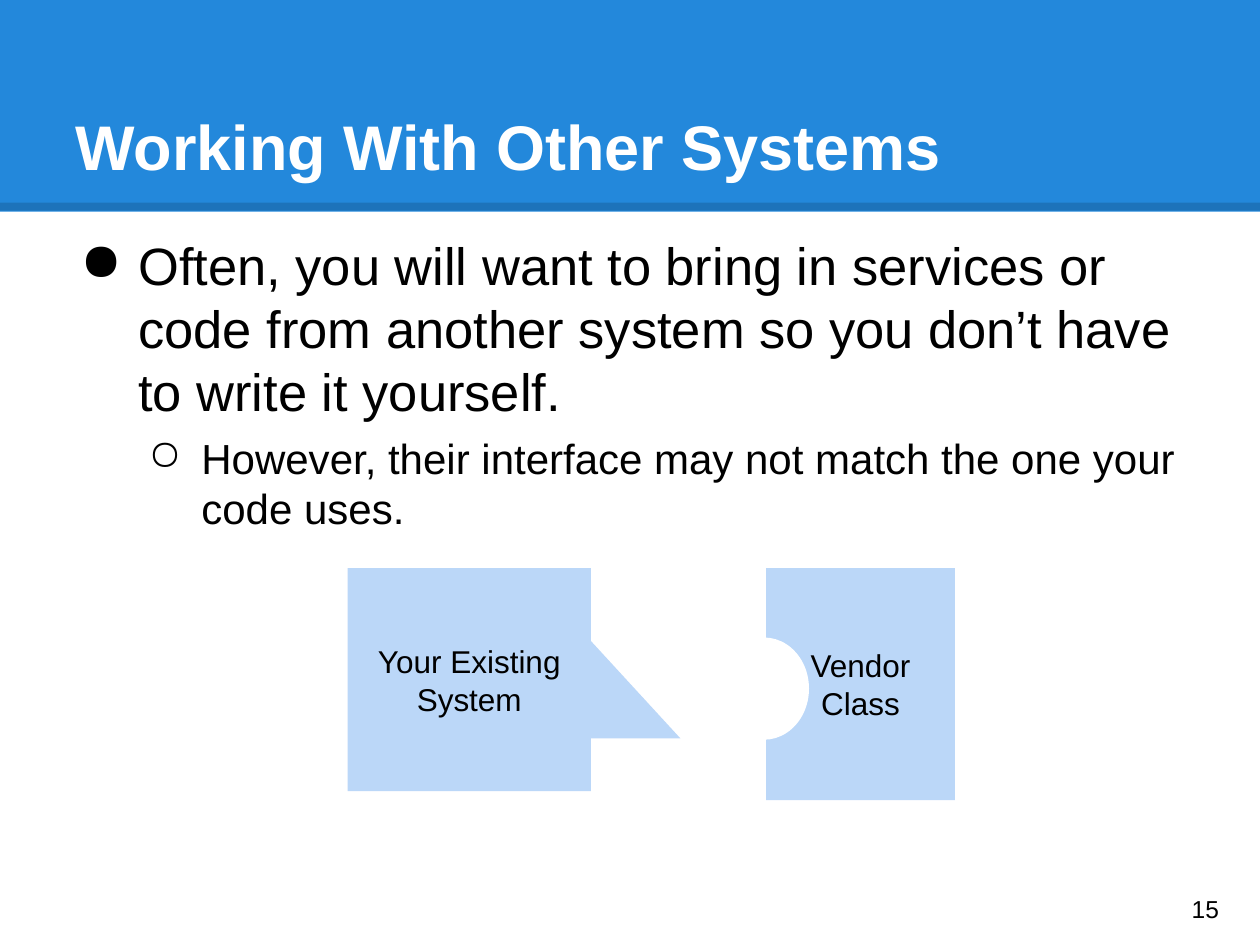
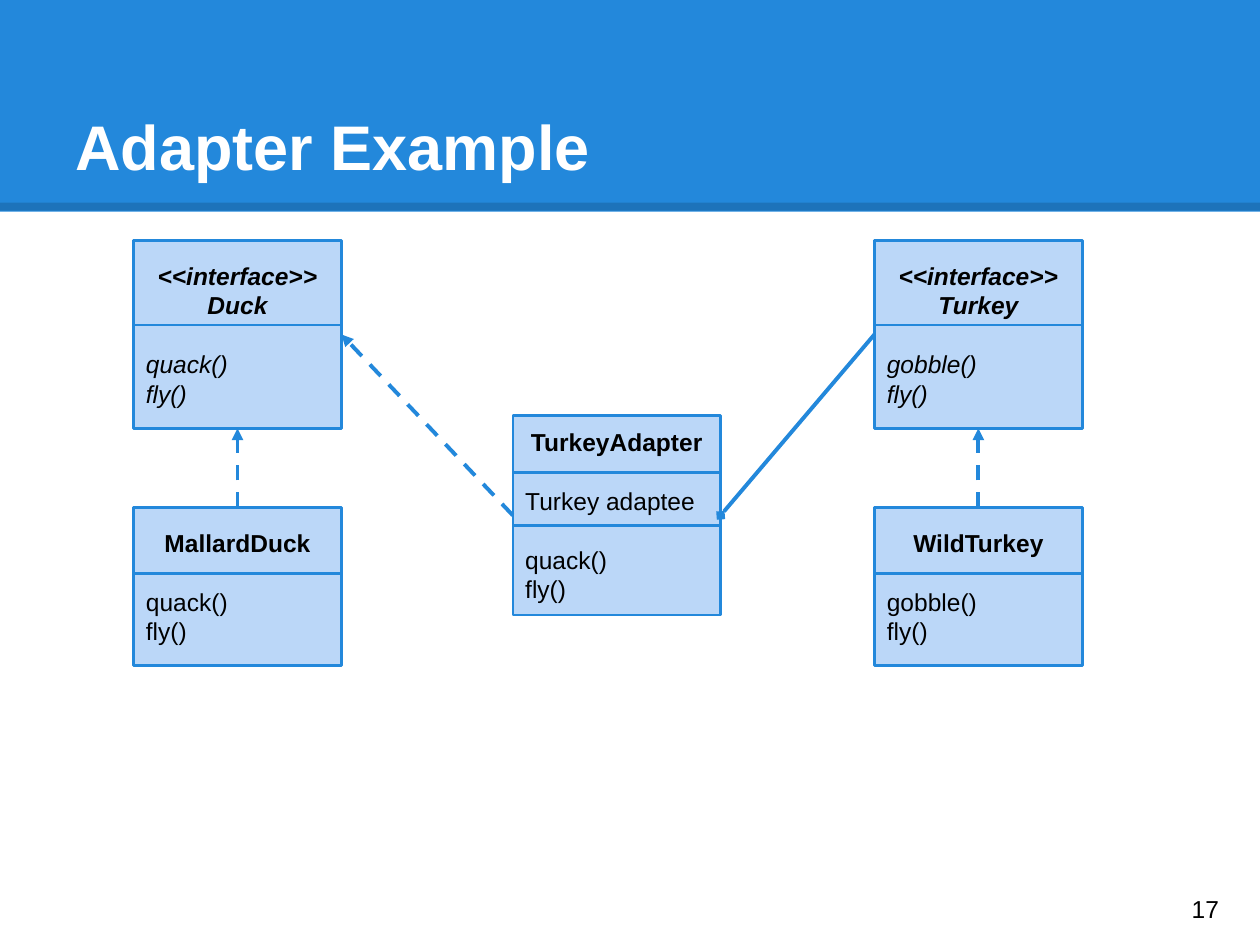
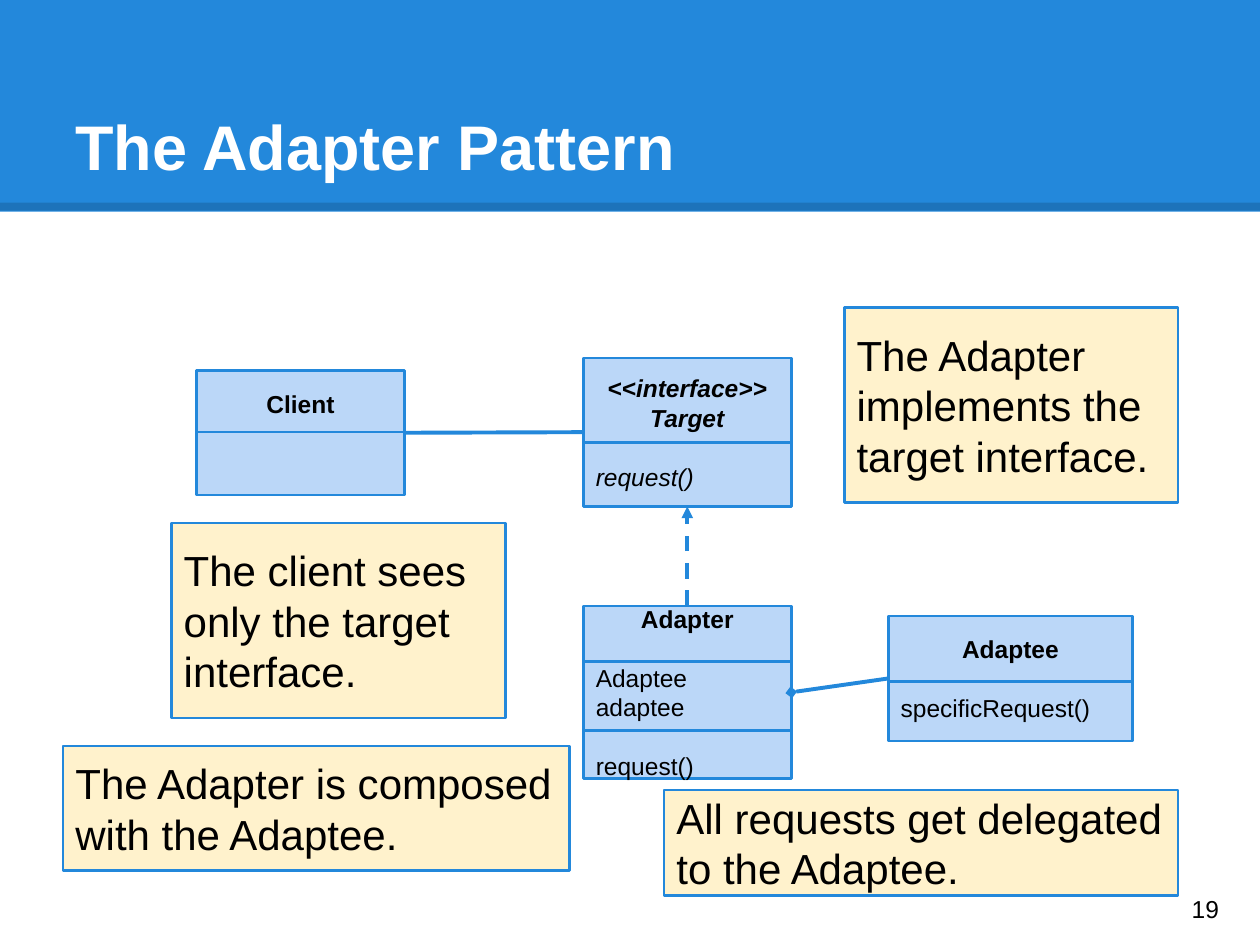
from dataclasses import dataclass

from lxml.etree import SubElement
from pptx import Presentation
from pptx.dml.color import RGBColor
from pptx.enum.dml import MSO_LINE
from pptx.enum.shapes import MSO_CONNECTOR, MSO_SHAPE
from pptx.enum.text import MSO_ANCHOR, PP_ALIGN
from pptx.oxml.ns import qn
from pptx.util import Inches, Pt

TOP, LEFT, BOTTOM, RIGHT = range(4)  # connection sites of a rectangle


@dataclass(frozen=True)
class Theme:
    font: str = "Arial"
    # Colours
    blue: str = "2388DB"
    pale_blue: str = "BBD7F8"
    cream: str = "FFF2CC"
    white: str = "FFFFFF"
    black: str = "000000"
    # Type sizes and line widths in points
    title: int = 36
    body: int = 30
    note: int = 24
    label: int = 18
    small: int = 14
    outline: float = 1.5
    link: float = 2.25
    band_edge: float = 4.5
    # Height of one line of small text, in points
    small_line: float = 16.8


class SlideBuilder:
    """Holds the style and the slide being drawn."""

    def __init__(self, deck, theme):
        self.deck = deck
        self.theme = theme
        self.slide = None

    def start_slide(self, title, number):
        theme = self.theme
        self.slide = self.deck.slides.add_slide(self.deck.slide_layouts[6])
        self.shape(0, 0, 10, 1.68, theme.blue)
        edge = self.line((0, 1.64), (10, 1.64), theme.black, theme.band_edge)
        color = edge.line._ln.find(".//" + qn("a:srgbClr"))
        SubElement(color, qn("a:alpha"), val="15000")
        heading = self.text_box(0.5, 0.3, 9, 1.25, MSO_ANCHOR.BOTTOM)
        self.set_lines(heading, [title], theme.title, theme.white, bold=True)
        page_number = self.text_box(9.36, 6.93, 0.6, 0.57, MSO_ANCHOR.MIDDLE)
        self.set_lines(page_number, [str(number)], theme.small)

    # Shapes and text
    def shape(self, left, top, width, height, fill, outline=None,
              kind=MSO_SHAPE.RECTANGLE):
        shape = self.slide.shapes.add_shape(
            kind, Inches(left), Inches(top), Inches(width), Inches(height))
        shape.shadow.inherit = False
        shape.fill.solid()
        shape.fill.fore_color.rgb = RGBColor.from_string(fill)
        if outline:
            shape.line.color.rgb = RGBColor.from_string(outline)
            shape.line.width = Pt(self.theme.outline)
        else:
            shape.line.fill.background()
        self.frame(shape, MSO_ANCHOR.MIDDLE)
        return shape

    def text_box(self, left, top, width, height, anchor=MSO_ANCHOR.TOP):
        box = self.slide.shapes.add_textbox(
            Inches(left), Inches(top), Inches(width), Inches(height))
        self.frame(box, anchor)
        return box

    def frame(self, box, anchor):
        frame = box.text_frame
        frame.word_wrap = True
        frame.vertical_anchor = anchor
        frame.margin_left = frame.margin_right = Inches(0.1)
        frame.margin_top = frame.margin_bottom = Inches(0.1)

    def set_lines(self, box, lines, size, color=None, bold=False,
                  italic=False, align=PP_ALIGN.LEFT):
        box.text_frame.text = "\n".join(lines)
        for para in box.text_frame.paragraphs:
            para.alignment = align
            for span in para.runs:
                self.style(span, size, color, bold, italic)

    def style(self, span, size, color=None, bold=False, italic=False):
        font = span.font
        font.name = self.theme.font
        font.size = Pt(size)
        font.bold = bold
        font.italic = italic
        font.color.rgb = RGBColor.from_string(color or self.theme.black)

    def bullets(self, left, top, width, height, items):
        """Each item is text, size, bullet, margin and hanging indent."""
        box = self.text_box(left, top, width, height)
        box.text_frame.text = "\n".join(item[0] for item in items)
        for index, para in enumerate(box.text_frame.paragraphs):
            _, size, bullet, margin, hanging = items[index]
            para.level = index
            if index:
                para.space_before = Pt(6)
            properties = para._p.get_or_add_pPr()
            properties.set("marL", str(Inches(margin)))
            properties.set("indent", str(-Inches(hanging)))
            SubElement(properties, qn("a:buChar"), char=bullet)
            self.style(para.runs[0], size)

    def block(self, left, top, width, height, text):
        box = self.shape(left, top, width, height, self.theme.pale_blue)
        self.set_lines(box, [text], self.theme.label, align=PP_ALIGN.CENTER)

    def note(self, left, top, width, height, text):
        theme = self.theme
        box = self.shape(left, top, width, height, theme.cream, theme.blue)
        self.set_lines(box, [text], theme.note)

    # Class diagrams
    def uml_class(self, left, top, width, height, name, sections, dividers,
                  abstract=False, spare_lines=0):
        theme = self.theme
        box = self.shape(left, top, width, height, theme.pale_blue, theme.blue)
        members = [member for section in sections for member in section]
        self.set_lines(box, [name, *members], theme.small, italic=abstract)
        paragraphs = box.text_frame.paragraphs
        paragraphs[0].alignment = PP_ALIGN.CENTER
        paragraphs[0].runs[0].font.bold = True
        first = 1
        for section in sections:
            paragraphs[first].space_before = Pt(theme.small_line)
            first += len(section)
        box.text_frame.margin_bottom += Pt(spare_lines * theme.small_line)
        for divider in dividers:
            self.line((left, divider), (left + width, divider),
                      theme.blue, theme.outline)
        return box

    def line(self, start, end, color, width):
        connector = self.slide.shapes.add_connector(
            MSO_CONNECTOR.STRAIGHT, Inches(start[0]), Inches(start[1]),
            Inches(end[0]), Inches(end[1]))
        connector.line.color.rgb = RGBColor.from_string(color)
        connector.line.width = Pt(width)
        SubElement(connector._element.spPr, qn("a:effectLst"))
        return connector

    def link(self, source, source_side, target, target_side):
        connector = self.line((0, 0), (0, 0), self.theme.blue, self.theme.link)
        connector.begin_connect(source, source_side)
        connector.end_connect(target, target_side)
        return connector

    def implements(self, source, source_side, target, target_side):
        connector = self.link(source, source_side, target, target_side)
        connector.line.dash_style = MSO_LINE.DASH
        SubElement(connector.line._ln, qn("a:tailEnd"), type="triangle")

    def composes(self, owner, owner_side, part, part_side):
        connector = self.link(owner, owner_side, part, part_side)
        SubElement(connector.line._ln, qn("a:headEnd"), type="diamond")


def draw_other_systems(page):
    theme = page.theme
    page.start_slide("Working With Other Systems", 15)
    page.bullets(0.5, 1.75, 9, 2.56, [
        ("Often, you will want to bring in services or code from another "
         "system so you don’t have to write it yourself.",
         theme.body, "●", 0.5, 0.46),
        ("However, their interface may not match the one your code uses.",
         theme.note, "○", 1, 0.42),
    ])
    # Plug and socket that do not fit
    page.shape(3.71, 4.94, 1.69, 0.92, theme.pale_blue,
               kind=MSO_SHAPE.ISOSCELES_TRIANGLE)
    page.block(2.76, 4.51, 1.93, 1.77, "Your Existing System")
    page.block(6.08, 4.51, 1.5, 1.84, "Vendor Class")
    page.shape(5.72, 5.07, 0.69, 0.79, theme.white, theme.white,
               kind=MSO_SHAPE.OVAL)


def draw_example(page):
    page.start_slide("Adapter Example", 17)
    # Each interface with its implementation below
    interfaces = []
    for left, interface, concrete, sound in (
            (1.06, "Duck", "MallardDuck", "quack()"),
            (6.94, "Turkey", "WildTurkey", "gobble()")):
        methods = [[sound, "fly()"]]
        parent = page.uml_class(left, 1.91, 1.65, 1.49,
                                f"<<interface>> {interface}", methods, [2.58],
                                abstract=True)
        child = page.uml_class(left, 4.03, 1.65, 1.25, concrete, methods,
                               [4.55])
        page.implements(child, TOP, parent, BOTTOM)
        interfaces.append(parent)
    # Adapter between the two
    duck, turkey = interfaces
    adapter = page.uml_class(4.07, 3.3, 1.65, 1.58, "TurkeyAdapter",
                             [["Turkey adaptee"], ["quack()", "fly()"]],
                             [3.75, 4.17])
    page.implements(adapter, LEFT, duck, RIGHT)
    page.composes(adapter, RIGHT, turkey, LEFT)


def draw_pattern(page):
    page.start_slide("The Adapter Pattern", 19)
    # Classes
    client = page.uml_class(1.56, 2.94, 1.65, 0.99, "Client", [], [3.43],
                            spare_lines=2)
    target = page.uml_class(4.63, 2.84, 1.65, 1.18, "<<interface>> Target",
                            [["request()"]], [3.51], abstract=True)
    adapter = page.uml_class(4.63, 4.81, 1.65, 1.37, "Adapter",
                             [["Adaptee adaptee"], ["request()"]],
                             [5.25, 5.8])
    adaptee = page.uml_class(7.05, 4.89, 1.94, 0.99, "Adaptee",
                             [["specificRequest()"]], [5.41])
    # Relations
    page.implements(adapter, TOP, target, BOTTOM)
    page.link(client, RIGHT, target, LEFT)
    page.composes(adapter, RIGHT, adaptee, LEFT)
    # Notes
    page.note(1.36, 4.15, 2.65, 1.55,
              "The client sees only the target interface.")
    page.note(6.7, 2.44, 2.65, 1.55,
              "The Adapter implements the target interface.")
    page.note(0.5, 5.92, 4.02, 0.99,
              "The Adapter is composed with the Adaptee.")
    page.note(5.27, 6.27, 4.08, 0.84,
              "All requests get delegated to the Adaptee.")


def main():
    deck = Presentation()
    deck.slide_width = Inches(10)
    deck.slide_height = Inches(7.5)
    page = SlideBuilder(deck, Theme())
    draw_other_systems(page)
    draw_example(page)
    draw_pattern(page)
    deck.save("out.pptx")


if __name__ == "__main__":
    main()
